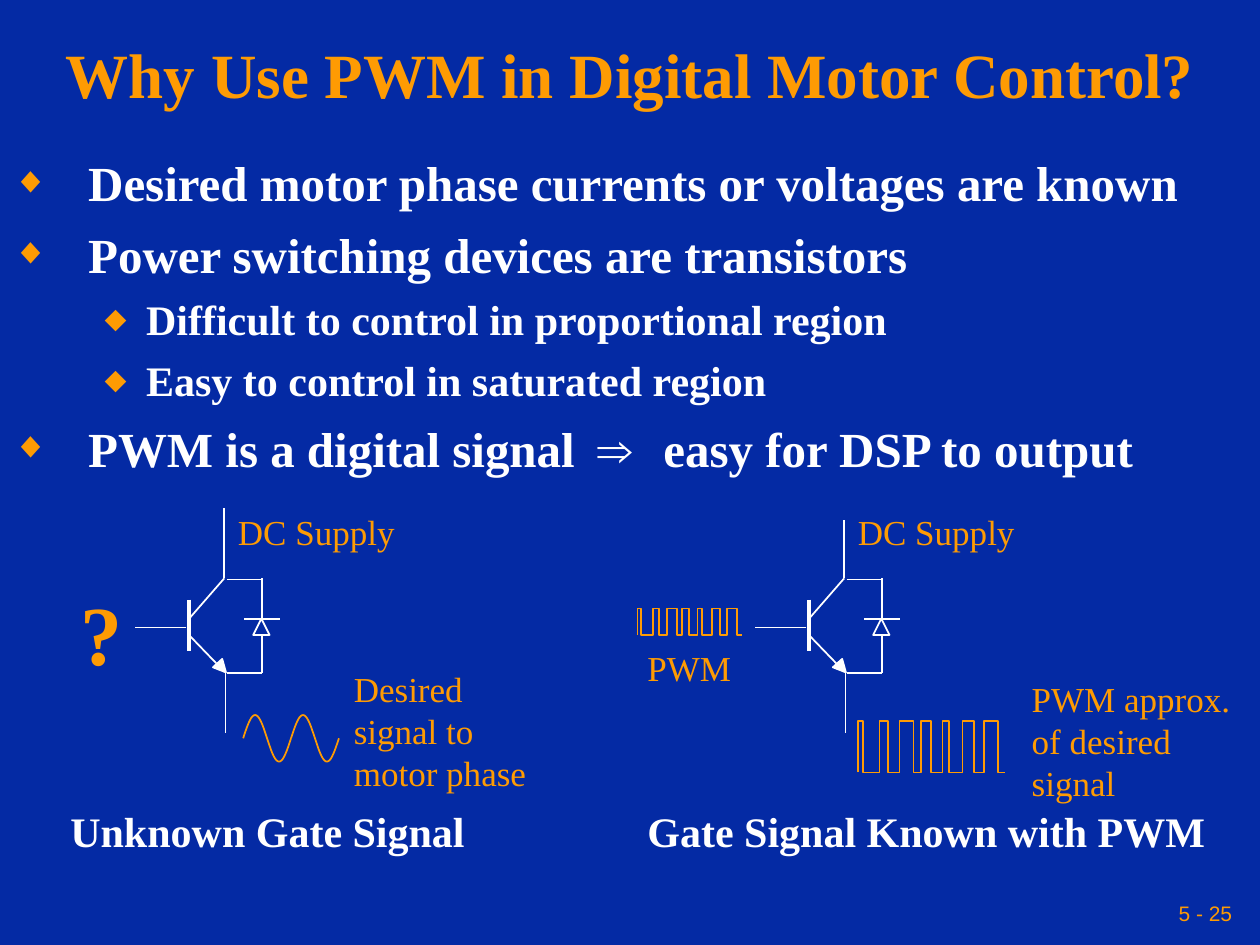
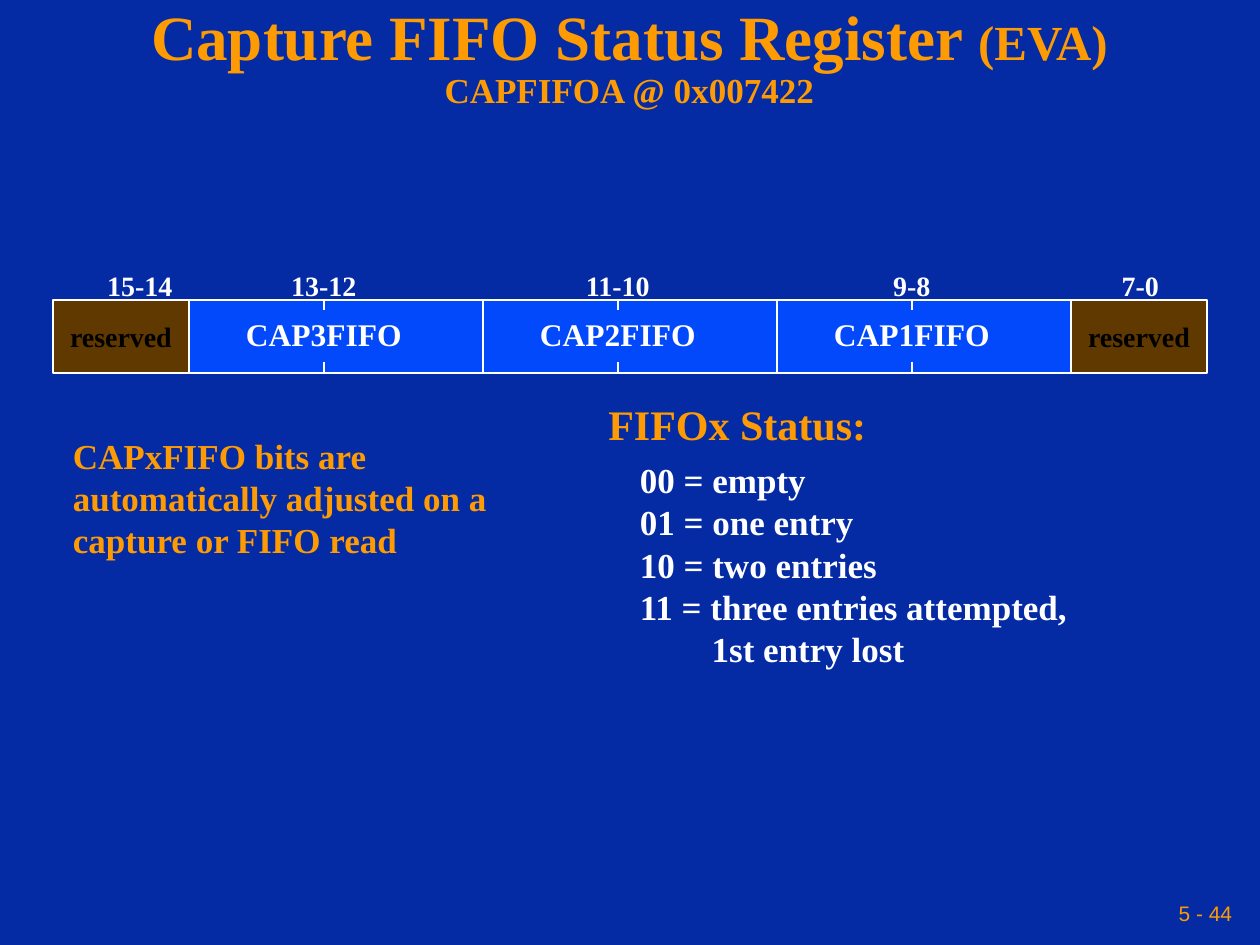
from copy import deepcopy
from dataclasses import dataclass
from math import pi, sin

from lxml.etree import SubElement
from pptx import Presentation
from pptx.dml.color import RGBColor
from pptx.enum.shapes import MSO_CONNECTOR, MSO_SHAPE
from pptx.enum.text import MSO_ANCHOR, MSO_AUTO_SIZE, PP_ALIGN
from pptx.oxml.ns import qn
from pptx.util import Emu, Pt

SCALE = 9144


@dataclass(frozen=True)
class Theme:
    back: str = "042AA4"
    gold: str = "FE9B03"
    white: str = "FFFFFF"
    black: str = "000000"
    brown: str = "603900"
    blue: str = "0249FC"
    serif: str = "Times New Roman"
    sans: str = "Arial"
    title: int = 36
    lead: int = 28
    head: int = 24
    text: int = 20
    field: int = 18
    bit: int = 16
    foot: int = 12
    mark: int = 48


T = Theme()
HEAD = {"size": T.title, "bold": True, "color": T.gold}
NOTE = {"size": T.text, "color": T.gold}
STRONG = {**NOTE, "bold": True}
CODE = {**STRONG, "color": T.white}
LEAD = {**CODE, "size": T.lead}
SUB = {**LEAD, "size": T.head}
BIT = {**LEAD, "size": T.bit}
FIELD = {**LEAD, "size": T.field}
FOOT = {"size": T.foot, "color": T.gold, "name": T.sans}

BULLETS = {0: ("◆", 60, -60, 14), 1: ("⬥", 106, -33, 12)}
PULSE = [0, 4, 17, 24, 33, 44, 50, 58, 67, 72, 83, 92, 100, 111, 117]


def px(num):
    return Emu(round(num * SCALE))


def dress(thing, **vals):
    for key, val in vals.items():
        setattr(thing, key, val)


def paint(form, color):
    form.solid()
    form.fore_color.rgb = RGBColor.from_string(color)


def place(shape, left, top, width, height):
    dress(shape, left=px(left), top=px(top), width=px(width), height=px(height))


def add_run(para, text, size, color, bold=False, name=T.serif, gap=0):
    run = para.add_run()
    run.text = text.rstrip("\n")
    dress(run.font, size=Pt(size), bold=bold, name=name)
    run.font.color.rgb = RGBColor.from_string(color)
    props = run._r.get_or_add_rPr()
    if gap:
        props.set("spc", str(gap * 100))
    if text.endswith("\n"):
        para.add_line_break()
        para._p[-1].append(deepcopy(props))


def add_para(frame, first, runs, **vals):
    para = frame.paragraphs[0] if first else frame.add_paragraph()
    dress(para, **vals)
    for text, look in runs:
        add_run(para, text, **look)
    return para


def set_indent(para, left, hang=0):
    props = para._p.get_or_add_pPr()
    props.set("marL", str(px(left)))
    props.set("indent", str(px(hang)))
    return props


def add_text(slide, spot, lines, look, wrap=False, align=PP_ALIGN.LEFT):
    box = slide.shapes.add_textbox(*map(px, spot))
    dress(box.text_frame, word_wrap=wrap,
          auto_size=MSO_AUTO_SIZE.SHAPE_TO_FIT_TEXT)
    for num, line in enumerate(lines):
        add_para(box.text_frame, num == 0, [(line, look)], alignment=align)
    return box


def set_title(slide, spot, runs):
    shape = slide.shapes.title
    place(shape, *spot)
    dress(shape.text_frame, auto_size=MSO_AUTO_SIZE.NONE, word_wrap=True,
          vertical_anchor=MSO_ANCHOR.MIDDLE)
    add_para(shape.text_frame, True, runs, alignment=PP_ALIGN.CENTER,
             line_spacing=0.9, space_before=Pt(0))


def set_list(slide, spot, items):
    body = slide.placeholders[1]
    place(body, *spot)
    frame = body.text_frame
    dress(frame, auto_size=MSO_AUTO_SIZE.NONE, word_wrap=True)
    for num, (level, runs) in enumerate(items):
        sign, left, hang, space = BULLETS[level]
        para = add_para(frame, num == 0, runs, level=level, line_spacing=0.8,
                        space_before=Pt(space if num else 0))
        props = set_indent(para, left, hang)
        tint = SubElement(props, qn("a:buClr"))
        SubElement(tint, qn("a:srgbClr"), val=T.gold)
        SubElement(props, qn("a:buSzPct"), val="75000")
        SubElement(props, qn("a:buChar"), char=sign)


def set_foot(slide, text):
    box = slide.shapes.add_textbox(*map(px, (683, 708, 300, 33)))
    edge = px(5)
    dress(box.text_frame, margin_left=edge, margin_right=edge, word_wrap=True,
          vertical_anchor=MSO_ANCHOR.MIDDLE)
    add_para(box.text_frame, True, [(text, FOOT)], alignment=PP_ALIGN.RIGHT)


def add_line(slide, ends, width=1):
    line = slide.shapes.add_connector(MSO_CONNECTOR.STRAIGHT, *map(px, ends))
    line.line.width = Pt(width)
    paint(line.line.fill, T.white)
    SubElement(line._element.spPr, qn("a:effectLst"))


def finish(shape, edge, fill=None):
    shape.shadow.inherit = False
    shape.line.width = Pt(1)
    paint(shape.line.fill, edge)
    if fill:
        paint(shape.fill, fill)
    else:
        shape.fill.background()


def add_block(slide, kind, spot, fill=None, turn=0):
    shape = slide.shapes.add_shape(kind, *map(px, spot))
    shape.rotation = turn
    finish(shape, T.white, fill)
    return shape


def add_path(slide, points):
    spots = [(px(x), px(y)) for x, y in points]
    build = slide.shapes.build_freeform(*spots[0], scale=1.0)
    build.add_line_segments(spots[1:], close=False)
    finish(build.convert_to_shape(), T.gold)


def add_sine(slide, left, mid, width, height):
    steps = 36
    add_path(slide, [(left + width * n / steps,
                      mid - height / 2 * sin(2 * pi * n / steps))
                     for n in range(steps + 1)])


def add_pulse(slide, left, high, low, ratio=1):
    points = []
    level, other = low, high
    for step in PULSE[:-1]:
        edge = left + step * ratio
        points += [(edge, level), (edge, other)]
        level, other = other, level
    add_path(slide, points + [(left + PULSE[-1] * ratio, level)])


def add_switch(slide, left, top):
    add_line(slide, (left + 43, 476, left + 43, 517), 2)
    wires = [
        (44, 490, 71, 459), (44, 505, 71, 533), (41, 498, 0, 498),
        (72, 534, 72, 582), (71, top, 71, 459), (73, 534, 101, 534),
        (101, 534, 101, 503), (73, 460, 101, 460), (101, 492, 101, 459),
        (87, 491, 115, 491),
    ]
    for x1, y1, x2, y2 in wires:
        add_line(slide, (left + x1, y1, left + x2, y2))
    kind = MSO_SHAPE.ISOSCELES_TRIANGLE
    add_block(slide, kind, (left + 94, 491, 13, 13))
    add_block(slide, kind, (left + 64, 525, 10, 10), T.white, 138)
    add_text(slide, (left + 72, 400, 147, 43), ["DC Supply"], NOTE)


def add_bits(slide, mid, text):
    add_text(slide, (mid - 38, 208, 76, 36), [text], BIT,
             align=PP_ALIGN.CENTER)


def add_spare(slide, left, mid, bits):
    shape = add_block(slide, MSO_SHAPE.RECTANGLE, (left, 238, 108, 58), T.brown)
    dress(shape.text_frame, word_wrap=False, vertical_anchor=MSO_ANCHOR.MIDDLE)
    add_para(shape.text_frame, True, [("reserved", {**BIT, "color": T.black})],
             alignment=PP_ALIGN.CENTER)
    add_bits(slide, mid, bits)


def add_field(slide, left, width, bits, name):
    add_block(slide, MSO_SHAPE.RECTANGLE, (left, 238, width, 58), T.blue)
    mid = left + 107
    for top in (237, 287):
        add_line(slide, (mid, top, mid, top + 9))
    add_bits(slide, mid, bits)
    add_text(slide, (mid - 74, 245, 148, 40), [name], FIELD,
             align=PP_ALIGN.CENTER)


def add_codes(slide):
    box = add_text(slide, (473, 311, 390, 225), ["FIFOx Status:"],
                   {**STRONG, "size": T.head})
    codes = [("00 = empty", 25), ("01 = one entry", 25),
             ("10 = two entries", 25), ("11 = three entries attempted,", 25),
             ("1st entry lost", 82)]
    for num, (text, left) in enumerate(codes):
        para = add_para(box.text_frame, False, [(text, CODE)],
                        space_before=Pt(0 if num else 6))
        set_indent(para, left)


def draw_motor(slide):
    set_title(slide, (0, 33, 1000, 58),
              [("Why Use PWM in Digital Motor Control?", HEAD)])
    set_list(slide, (0, 125, 1000, 283), [
        (0, [("Desired motor phase currents or voltages are known", LEAD)]),
        (0, [("Power switching devices are transistors", LEAD)]),
        (1, [("Difficult to control in proportional region", SUB)]),
        (1, [("Easy to control in saturated region", SUB)]),
        (0, [("PWM is a digital signal", LEAD),
             (" ⇒ ", {**LEAD, "name": T.sans, "gap": 5}),
             ("easy for DSP to output", LEAD)]),
    ])
    add_switch(slide, 107, 403)
    add_switch(slide, 599, 413)
    for left in (193, 231):
        add_sine(slide, left, 586, 38, 37)
    add_pulse(slide, 681, 572, 613)
    add_pulse(slide, 506, 483, 504, 0.71)
    add_text(slide, (809, 533, 183, 110), ["PWM approx.", "of desired signal"],
             NOTE, wrap=True)
    add_text(slide, (271, 525, 160, 110),
             ["Desired", "signal to", "motor phase"], NOTE)
    add_text(slide, (54, 457, 56, 90), ["?"], {**STRONG, "size": T.mark})
    add_text(slide, (504, 508, 89, 43), ["PWM"], NOTE)
    add_text(slide, (46, 634, 336, 50), ["Unknown Gate Signal"], SUB)
    add_text(slide, (504, 634, 466, 50), ["Gate Signal Known with PWM"], SUB)
    set_foot(slide, "5 - 25")


def draw_status(slide):
    set_title(slide, (33, 17, 933, 59), [
        ("Capture FIFO Status Register ", HEAD),
        ("(EVA)\n", {**HEAD, "size": T.lead}),
        ("CAPFIFOA @ 0x007422", {**HEAD, "size": T.text}),
    ])
    width = 700 / 3
    add_spare(slide, 42, 111, "15-14")
    for num, bits in enumerate(("13-12", "11-10", "9-8")):
        add_field(slide, 150 + num * width, width, bits, f"CAP{3 - num}FIFO")
    add_spare(slide, 850, 905, "7-0")
    add_codes(slide)
    add_text(slide, (48, 340, 376, 110),
             ["CAPxFIFO bits are automatically adjusted on a capture or FIFO read"],
             STRONG, wrap=True)
    set_foot(slide, "5 - 44")


def main():
    deck = Presentation()
    dress(deck, slide_width=px(1000), slide_height=px(750))
    paint(deck.slide_master.background.fill, T.back)
    for kind, draw in ((1, draw_motor), (5, draw_status)):
        draw(deck.slides.add_slide(deck.slide_layouts[kind]))
    deck.save("out.pptx")


if __name__ == "__main__":
    main()
